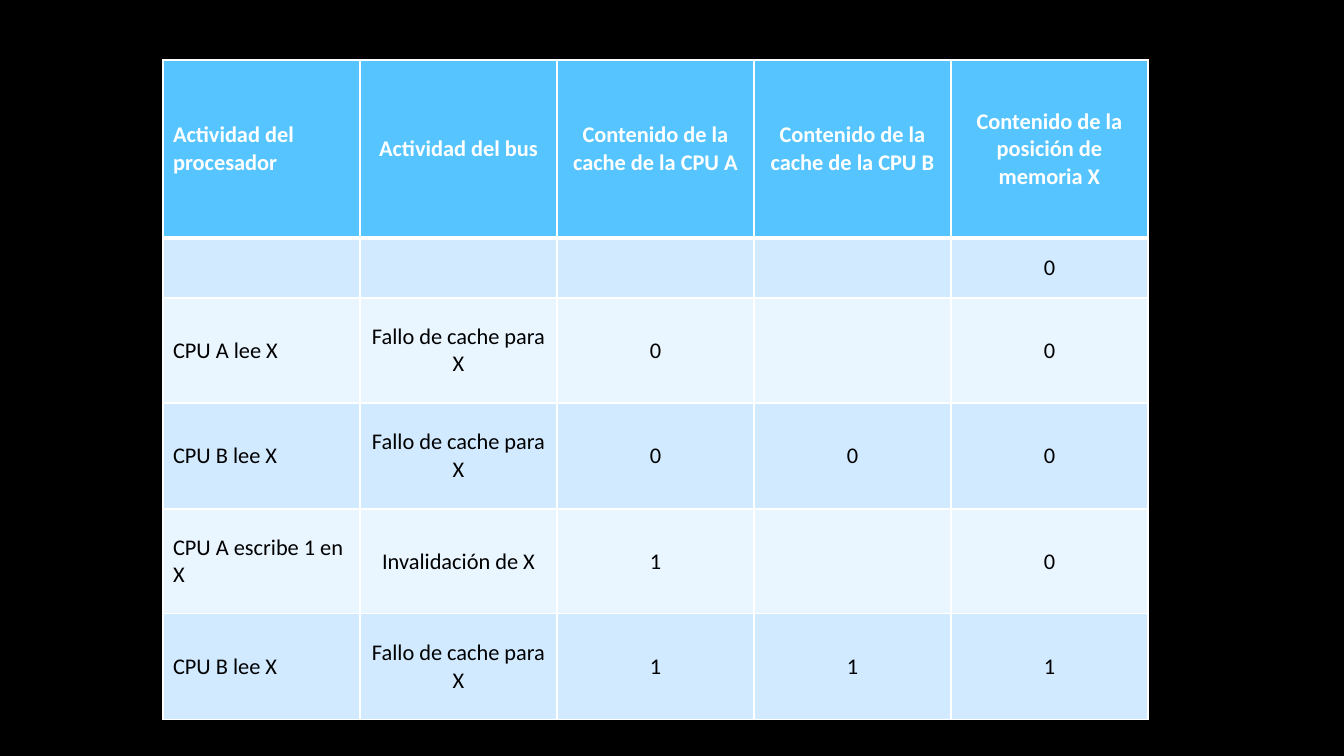
from dataclasses import dataclass

from lxml import etree
from pptx import Presentation
from pptx import util as u
from pptx.dml.color import RGBColor
from pptx.enum import text
from pptx.oxml import ns

HEADERS = [
    "Actividad del procesador",
    "Actividad del bus",
    "Contenido de la cache de la CPU A",
    "Contenido de la cache de la CPU B",
    "Contenido de la posición de memoria X",
]
STEPS = [
    ("", "", "", "", "0"),
    ("CPU A lee X", "Fallo de cache para X", "0", "", "0"),
    ("CPU B lee X", "Fallo de cache para X", "0", "0", "0"),
    ("CPU A escribe 1 en X", "Invalidación de X", "1", "", "0"),
    ("CPU B lee X", "Fallo de cache para X", "1", "1", "1"),
]
SLIDE_PX = (1344, 756)
LEFT, TOP = 163, 60
COL_WIDTH = 197
ROW_HEIGHTS = [178, 60, 105, 106, 105, 106]


@dataclass(frozen=True)
class Theme:
    font: str = "Calibri"
    size: int = 16
    background: str = "000000"
    header: str = "56C5FF"
    bands: tuple = ("D1EAFF", "E9F5FF")
    header_text: str = "FFFFFF"
    body_text: str = "000000"
    border: str = "FFFFFF"
    thin: int = 1
    thick: int = 3


THEME = Theme()


def px(n):
    return u.Emu(round(n * 914400 / 100.8))


def rgb(color):
    return RGBColor.from_string(color)


def set_borders(cell, widths):
    props = cell._tc.get_or_add_tcPr()
    for i, (side, width) in enumerate(widths.items()):
        ln = etree.Element(ns.qn(f"a:ln{side}"), w=str(u.Pt(width)))
        fill = etree.SubElement(ln, ns.qn("a:solidFill"))
        etree.SubElement(fill, ns.qn("a:srgbClr"), val=THEME.border)
        props.insert(i, ln)


def fill_cell(cell, value, row, col):
    is_header = row == 0
    cell.fill.solid()
    cell.fill.fore_color.rgb = rgb(
        THEME.header if is_header else THEME.bands[(row - 1) % 2])
    set_borders(cell, {
        "L": THEME.thin,
        "R": THEME.thin,
        "T": THEME.thick if row == 1 else THEME.thin,
        "B": THEME.thick if is_header else THEME.thin,
    })
    cell.vertical_anchor = text.MSO_ANCHOR.MIDDLE
    if not value:
        return
    p = cell.text_frame.paragraphs[0]
    p.alignment = text.PP_ALIGN.CENTER if col else text.PP_ALIGN.LEFT
    r = p.add_run()
    r.text = value
    r.font.name = THEME.font
    r.font.size = u.Pt(THEME.size)
    r.font.bold = is_header
    r.font.color.rgb = rgb(THEME.header_text if is_header else THEME.body_text)


def main():
    prs = Presentation()
    prs.slide_width, prs.slide_height = map(px, SLIDE_PX)
    s = prs.slides.add_slide(prs.slide_layouts[6])
    s.background.fill.solid()
    s.background.fill.fore_color.rgb = rgb(THEME.background)

    rows = [HEADERS, *STEPS]
    table = s.shapes.add_table(
        len(rows), len(HEADERS), px(LEFT), px(TOP),
        px(COL_WIDTH * len(HEADERS)), px(sum(ROW_HEIGHTS))).table
    for column in table.columns:
        column.width = px(COL_WIDTH)
    for i, (values, height) in enumerate(zip(rows, ROW_HEIGHTS)):
        table.rows[i].height = px(height)
        for j, value in enumerate(values):
            fill_cell(table.cell(i, j), value, i, j)

    prs.save("out.pptx")


if __name__ == "__main__":
    main()
